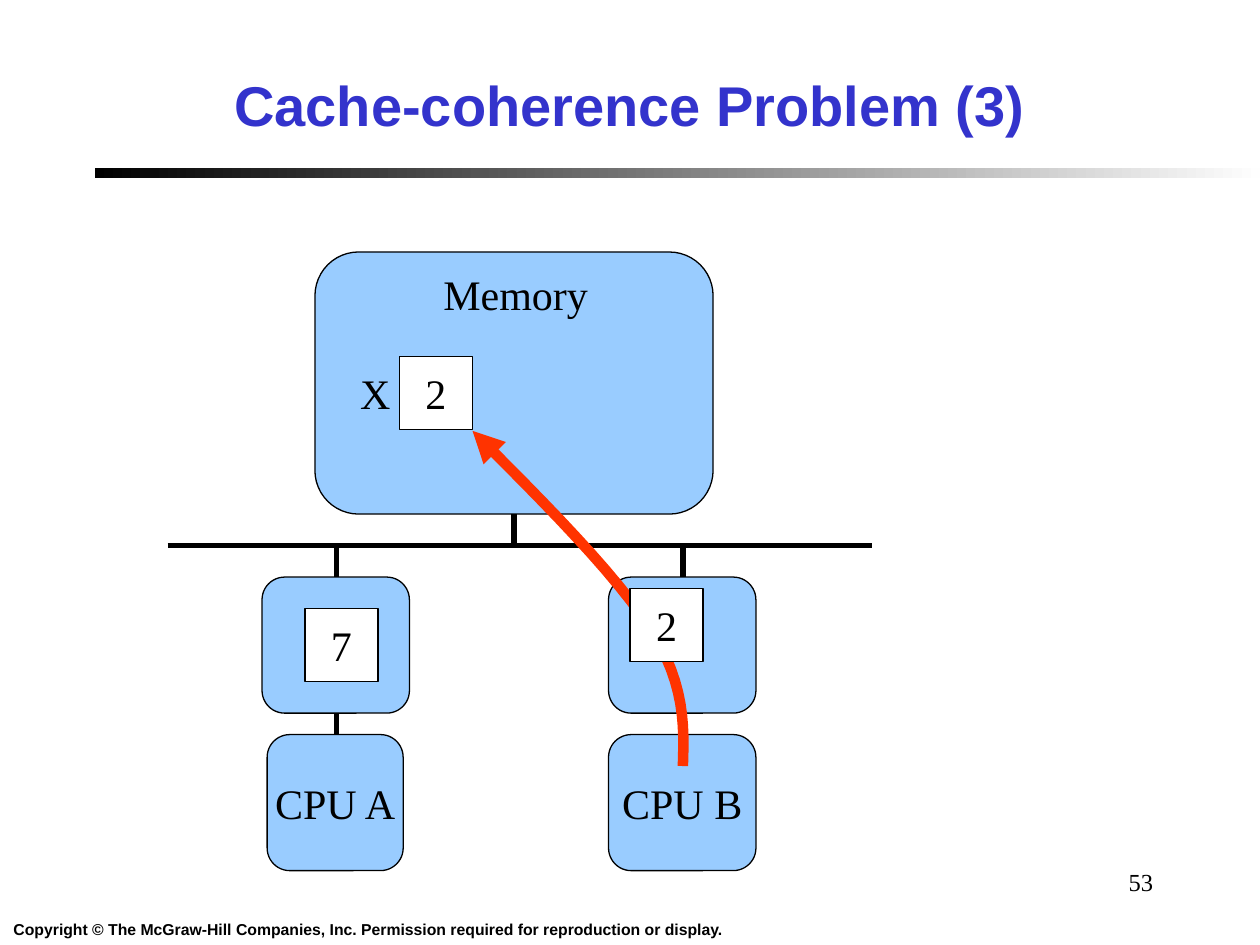
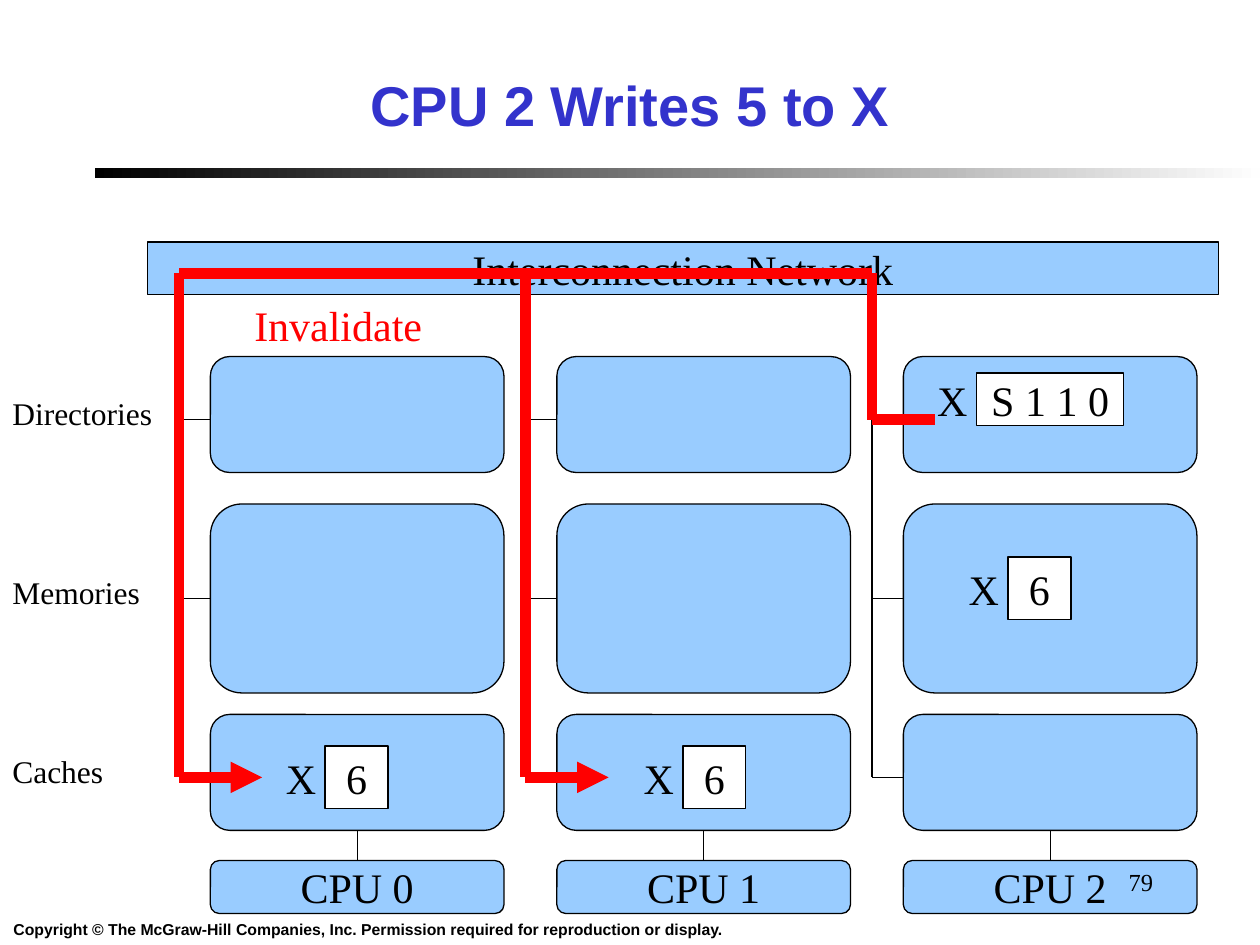
from itertools import pairwise
from lxml import etree
from pptx import Presentation
from pptx import util as u
from pptx.dml.color import RGBColor
from pptx.enum import shapes, text
from pptx.oxml.ns import qn

BLACK, WHITE, SKY, BLUE, RED = "000000", "FFFFFF", "99CCFF", "3333CC", "FF0000"
ROUND, RECT = shapes.MSO_SHAPE.ROUNDED_RECTANGLE, shapes.MSO_SHAPE.RECTANGLE
LEFT, MID, RIGHT = text.PP_ALIGN.LEFT, text.PP_ALIGN.CENTER, text.PP_ALIGN.RIGHT


def put(page, box, words="", kind=None, fill=SKY, size=24, color=BLACK,
        font="Times New Roman", bold=False, align=LEFT, wrap=False, item=None):
    """Place a text box, a preset shape or a given placeholder."""
    box = [u.Inches(n) for n in box]
    if item is not None:
        item.left, item.top, item.width, item.height = box
    elif kind is None:
        item = page.shapes.add_textbox(*box)
    else:
        item = page.shapes.add_shape(kind, *box)
        item.shadow.inherit = False
        item.fill.solid()
        item.fill.fore_color.rgb = RGBColor.from_string(fill)
        item.line.color.rgb = RGBColor.from_string(BLACK)
        item.line.width = u.Pt(0.75)
        align = MID
    if words:
        frame = item.text_frame
        frame.text, frame.word_wrap = words, wrap
        if kind is not None or item.is_placeholder:
            frame.vertical_anchor = text.MSO_ANCHOR.MIDDLE
        para = frame.paragraphs[0]
        para.alignment = align
        para.font.size, para.font.name, para.font.bold = u.Pt(size), font, bold
        para.font.color.rgb = RGBColor.from_string(color)
    return item


def link(page, dots, color=BLACK, width=0.75, arrow=False):
    """Draw a connector through two dots, or an open outline through more."""
    dots = [(u.Inches(x), u.Inches(y)) for x, y in dots]
    if len(dots) == 2:
        item = page.shapes.add_connector(shapes.MSO_CONNECTOR.STRAIGHT, *dots[0], *dots[1])
    else:
        maker = page.shapes.build_freeform(*dots[0])
        maker.add_line_segments(dots[1:], close=False)
        item = maker.convert_to_shape()
        item.fill.background()
    item.line.color.rgb = RGBColor.from_string(color)
    item.line.width = u.Pt(width)
    props = item._element.spPr
    if arrow:
        etree.SubElement(props.find(qn("a:ln")), qn("a:tailEnd"), type="triangle")
    etree.SubElement(props, qn("a:effectLst"))
    return item


deck = Presentation()
deck.slide_width, deck.slide_height = u.Inches(10), u.Inches(7.5)

# Shared title, fading band and copyright line
pages = []
for title in ("Cache-coherence Problem (3)", "CPU 2 Writes 5 to X"):
    page = deck.slides.add_slide(deck.slide_layouts[5])
    pages.append(page)
    band = put(page, (0.75, 1.33, 9.25, 0.08), kind=RECT)
    band.line.fill.background()
    band.fill.gradient()
    band.fill.gradient_angle = 0
    for stop, tone in zip(band.fill.gradient_stops, (BLACK, "FEFEFE")):
        stop.color.rgb = RGBColor.from_string(tone)
    put(page, (0, 7.25, 5.84, 0.25), "Copyright © The McGraw-Hill Companies, Inc. "
        "Permission required for reproduction or display.",
        size=9, font="Arial", bold=True, align=MID)
    put(page, (0.75, 0.33, 8.5, 1), title, size=32, color=BLUE, font="Arial",
        bold=True, align=MID, wrap=True, item=page.shapes.title)
first, second = pages

# Slide 1: memory, bus and two CPUs with caches
for x, low in ((2.67, 6.5), (5.42, 6.42)):
    link(first, [(x, 4.33), (x, low)], width=3)
store = put(first, (2.5, 2, 3.16, 2.08), kind=ROUND)
link(first, [(1.33, 4.33), (6.92, 4.33)], width=3)
for x, left, wide, name in ((2.08, 2.12, 1.08, "CPU A"), (4.83, 4.83, 1.17, "CPU B")):
    put(first, (x, 4.58, 1.17, 1.08), kind=ROUND)
    put(first, (left, 5.83, wide, 1.08), name, kind=ROUND)
stem = link(first, [(4.08, 4.33), (4.08, 4.08)], width=3)
stem.end_connect(store, 2)
put(first, (3.42, 2.08, 1.35, 0.5), "Memory")

# Write-through arrow from CPU B to memory: two cubic curves
curve = [(5.42, 6.08)]
for a, b, c, d in (((5.42, 6.08), (5.43, 5.76), (5.44, 5.44), (5.17, 5)),
                   ((5.17, 5), (4.89, 4.56), (4.32, 3.99), (3.75, 3.42))):
    for step in range(1, 13):
        t = step / 12
        s = 1 - t
        curve.append([s**3 * a[i] + 3 * s * s * t * b[i] + 3 * s * t * t * c[i] + t**3 * d[i]
                      for i in (0, 1)])
link(first, curve, "FF3300", 6, arrow=True)

# Slide 2: network and three nodes
put(second, (1.17, 1.92, 8.5, 0.42), "Interconnection Network", kind=RECT)
for n in range(3):
    x = 1.67 + 2.75 * n
    trunk = x - 0.25
    put(second, (x, 2.83, 2.33, 0.92), kind=ROUND)
    memory = put(second, (x, 4, 2.33, 1.5), kind=ROUND)
    cache = put(second, (x, 5.67, 2.33, 0.92), kind=ROUND)
    cpu = put(second, (x, 6.83, 2.33, 0.42), f"CPU {n}", kind=ROUND)
    link(second, [(trunk, 2.33), (trunk, 6.17)])
    for y in (3.33, 6.17):
        link(second, [(trunk, y), (x, y)])
    link(second, [(trunk, 4.75), (x, 4.75)]).end_connect(memory, 1)
    stem = link(second, [(x + 1.17, 6.58), (x + 1.17, 6.83)])
    stem.begin_connect(cache, 2)
    stem.end_connect(cpu, 0)

# Row names, in boxes wide enough for one line
for y, name in ((3.08, "Directories"), (4.5, "Memories"), (5.92, "Caches")):
    put(second, (0, y, 1.4, 0.4), name, size=18)
put(second, (1.92, 2.33, 1.6, 0.5), "Invalidate", color=RED)

# Value cells, most with an X label on their left
for page, x, y, wide, high, value, label in (
        (first, 3.17, 2.83, 0.58, 0.58, "2", "X"),
        (first, 2.42, 4.83, 0.58, 0.58, "7", ""),
        (first, 5, 4.67, 0.58, 0.58, "2", ""),
        (second, 7.75, 2.96, 1.17, 0.42, "S 1 1 0", "X"),
        (second, 8, 4.42, 0.5, 0.5, "6", "X"),
        (second, 2.58, 5.92, 0.5, 0.5, "6", "X"),
        (second, 5.42, 5.92, 0.5, 0.5, "6", "X")):
    put(page, (x, y, wide, high), value, kind=RECT, fill=WHITE)
    if label:
        put(page, (x - 0.41, y + high / 2 - 0.25, 0.44, 0.5), label)

# Invalidate routes from the directory of CPU 2 to the other caches
for x in (1.42, 4.17):
    for a, b in pairwise([(6.92, 2.17), (x, 2.17), (x, 6.17)]):
        link(second, [a, b], RED, 6)
    link(second, [(x, 6.17), (x + 0.66, 6.17)], RED, 6, arrow=True)
for a, b in pairwise([(6.92, 2.17), (6.92, 3.33), (7.42, 3.33)]):
    link(second, [a, b], RED, 6)

# Page numbers
for page, number in zip(pages, ("53", "79")):
    put(page, (7.17, 6.83, 2.08, 0.5), number, size=14, align=RIGHT, wrap=True)

deck.save("out.pptx")
